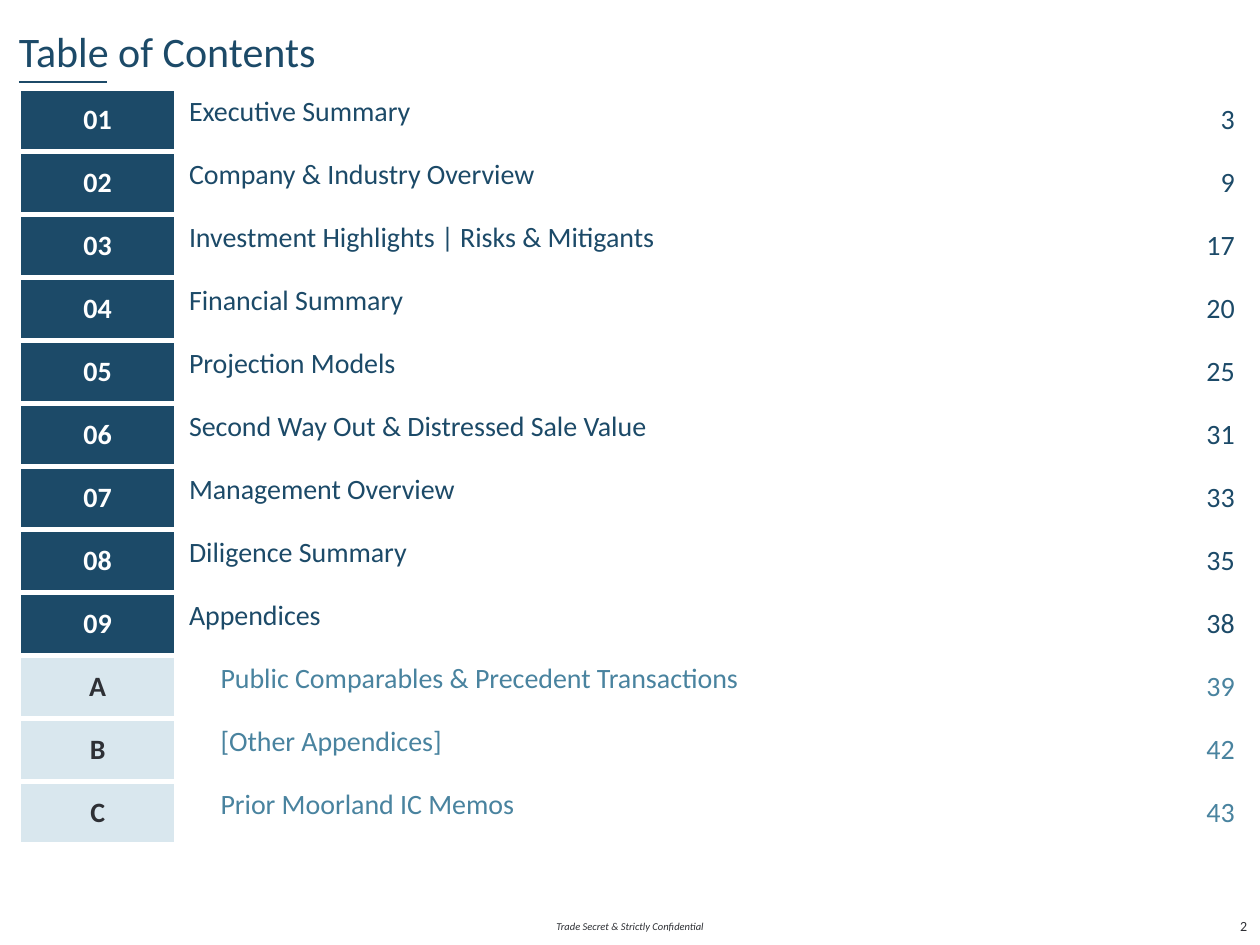
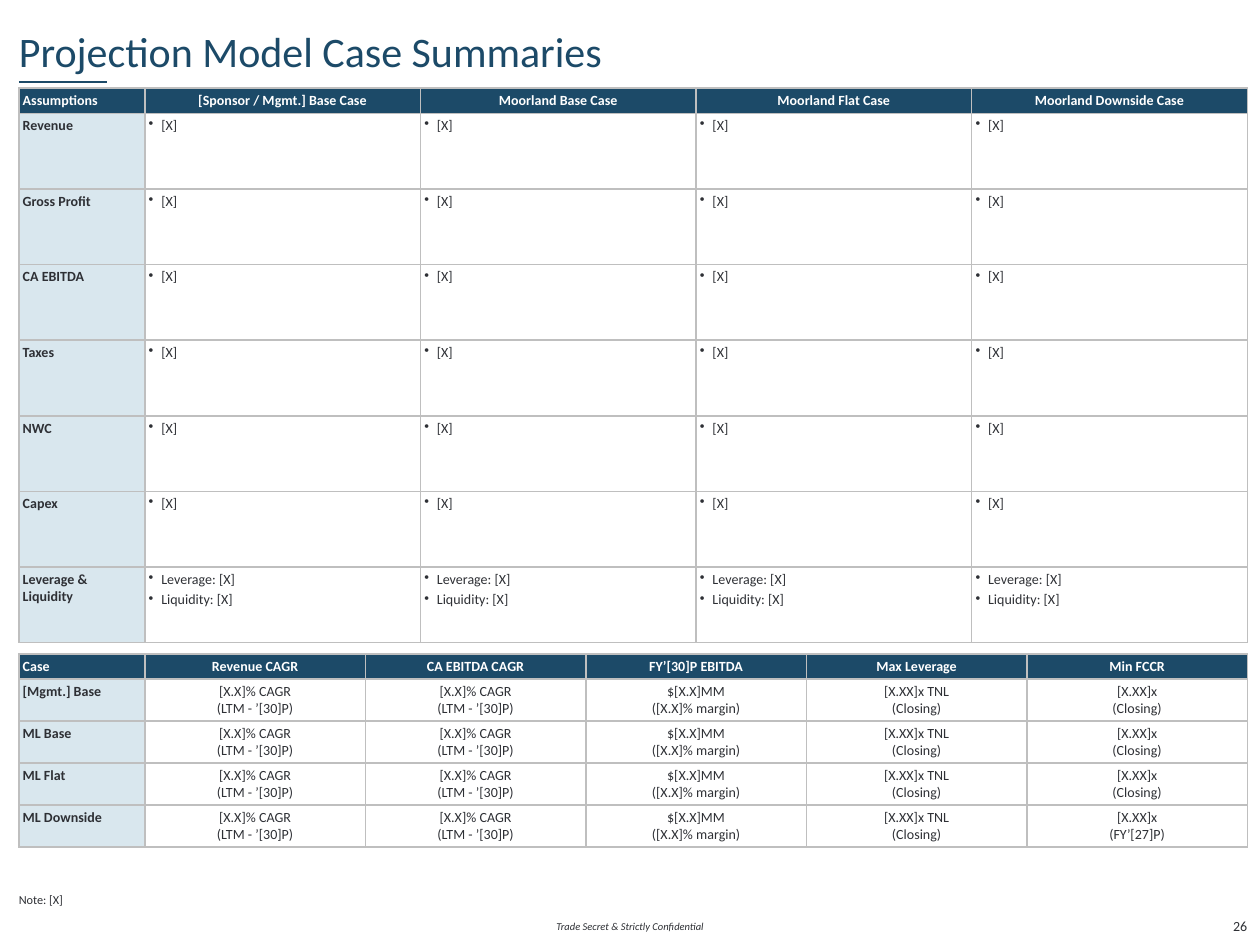
import pptx
import pptx.util
import pptx.dml.color
import pptx.enum.shapes
import pptx.enum.text
import pptx.oxml
import pptx.oxml.ns
from lxml import etree

Inches = pptx.util.Inches
Pt = pptx.util.Pt
Align = pptx.enum.text.PP_ALIGN
Anchor = pptx.enum.text.MSO_ANCHOR
qn = pptx.oxml.ns.qn

HUES = {"navy": "1C4A68", "teal": "49839F", "pale": "D9E7EE",
        "ink": "2E3035", "grey": "BFBFBF", "white": "FFFFFF"}
FONT = "Calibri"
LEFT, WIDTH = 0.15, 9.75

TOPICS = [
    ("01", "Executive Summary", 3),
    ("02", "Company & Industry Overview", 9),
    ("03", "Investment Highlights | Risks & Mitigants", 17),
    ("04", "Financial Summary", 20),
    ("05", "Projection Models", 25),
    ("06", "Second Way Out & Distressed Sale Value", 31),
    ("07", "Management Overview", 33),
    ("08", "Diligence Summary", 35),
    ("09", "Appendices", 38),
    ("A", "Public Comparables & Precedent Transactions", 39),
    ("B", "[Other Appendices]", 42),
    ("C", "Prior Moorland IC Memos", 43),
]
CASES = ["[Sponsor / Mgmt.] Base Case", "Moorland Base Case",
         "Moorland Flat Case", "Moorland Downside Case"]
DRIVERS = ["Revenue", "Gross Profit", "CA EBITDA", "Taxes", "NWC", "Capex"]
METRICS = ["Revenue CAGR", "CA EBITDA CAGR", "FY’[30]P EBITDA",
           "Max Leverage", "Min FCCR"]
GROWTH = "[X.X]% CAGR\n(LTM - ’[30]P)"
RESULTS = [GROWTH, GROWTH, "$[X.X]MM\n([X.X]% margin)", "[X.XX]x TNL\n(Closing)"]
FLOORS = {"[Mgmt.] Base": "Closing", "ML Base": "Closing",
          "ML Flat": "Closing", "ML Downside": "FY’[27]P"}


def hue(name):
    return pptx.dml.color.RGBColor.from_string(HUES[name])


# Text: one paragraph for each line
def write(frame, text, size=8, color="ink", bold=False, italic=False,
          align=Align.LEFT, after=0, indent=0, bullet=False):
    for i, line in enumerate(text.split("\n")):
        par = frame.paragraphs[0] if i == 0 else frame.add_paragraph()
        par.alignment = align
        props = par._p.get_or_add_pPr()
        props.set("marL", str(Inches(indent)))
        props.set("indent", str(-Inches(indent) if bullet else 0))
        if bullet:
            etree.SubElement(props, qn("a:buChar")).set("char", "•")
        if after:
            par.space_after = Pt(after)
        run = par.add_run()
        run.text = line
        font = run.font
        font.name, font.size = FONT, Pt(size)
        font.bold, font.italic = bold, italic
        font.color.rgb = hue(color)


def trim(frame, anchor):
    frame.word_wrap = True
    frame.auto_size = pptx.enum.text.MSO_AUTO_SIZE.NONE
    frame.vertical_anchor = anchor
    frame.margin_left = frame.margin_right = 0
    frame.margin_top = frame.margin_bottom = 0


def add_text(slide, left, top, width, height, text, anchor=Anchor.MIDDLE, **fmt):
    box = slide.shapes.add_textbox(
        Inches(left), Inches(top), Inches(width), Inches(height))
    trim(box.text_frame, anchor)
    write(box.text_frame, text, **fmt)


# Title, rule and footer shared by the slides
def add_slide(deck, title, page):
    slide = deck.slides.add_slide(deck.slide_layouts[5])
    head = slide.shapes.title
    head.left, head.top = Inches(LEFT), Inches(0.15)
    head.width, head.height = Inches(WIDTH), Inches(0.5)
    trim(head.text_frame, Anchor.MIDDLE)
    write(head.text_frame, title, size=24, color="navy")

    rule = slide.shapes.add_connector(
        pptx.enum.shapes.MSO_CONNECTOR.STRAIGHT,
        Inches(LEFT), Inches(0.65), Inches(0.85), Inches(0.65))
    rule.line.color.rgb = hue("navy")
    rule.line.width = Pt(1.5)
    etree.SubElement(rule._element.spPr, qn("a:effectLst"))

    add_text(slide, 4.3, 7.25, 1.4, 0.2, "Trade Secret & Strictly Confidential",
             size=6, italic=True, align=Align.CENTER)
    add_text(slide, 9.6, 7.25, 0.3, 0.2, str(page), align=Align.RIGHT)
    return slide


# Tables
def add_grid(slide, top, cols, rows):
    grid = slide.shapes.add_table(
        len(rows), len(cols), Inches(LEFT), Inches(top),
        Inches(WIDTH), Inches(sum(rows))).table
    grid.first_row = grid.horz_banding = False
    for col, width in zip(grid.columns, cols):
        col.width = Inches(width)
    for row, height in zip(grid.rows, rows):
        row.height = Inches(height)
    return grid


def edge(cell, color, width):
    props = cell._tc.get_or_add_tcPr()
    for i, side in enumerate(("lnL", "lnR", "lnT", "lnB")):
        line = etree.Element(qn("a:" + side), w=str(Pt(width)))
        fill = etree.SubElement(line, qn("a:solidFill"))
        etree.SubElement(fill, qn("a:srgbClr"), val=HUES[color])
        props.insert(i, line)


def fill_cell(cell, text, back=None, anchor=Anchor.TOP, pad=0.03,
              border=("grey", 1), **fmt):
    if back:
        cell.fill.solid()
        cell.fill.fore_color.rgb = hue(back)
    else:
        cell.fill.background()
    edge(cell, *border)
    cell.vertical_anchor = anchor
    if pad is not None:
        cell.margin_left = cell.margin_right = Inches(pad)
        cell.margin_top = cell.margin_bottom = Inches(pad)
    write(cell.text_frame, text, **fmt)


def add_matrix(slide, top, cols, rows, heads, body, **fmt):
    grid = add_grid(slide, top, cols, rows)
    for c, text in enumerate(heads):
        fill_cell(grid.cell(0, c), text, back="navy", anchor=Anchor.MIDDLE,
                  color="white", bold=True,
                  align=Align.CENTER if c else Align.LEFT)
    for r, (label, *values) in enumerate(body, 1):
        fill_cell(grid.cell(r, 0), label, back="pale", bold=True)
        for c, text in enumerate(values, 1):
            fill_cell(grid.cell(r, c), text, **fmt)


def add_topics(slide):
    grid = add_grid(slide, 0.7, [1.25, 7.52, 0.98], [0.5] * len(TOPICS))
    base = dict(size=16, pad=None, border=("white", 3))
    for r, (mark, topic, page) in enumerate(TOPICS):
        main_part = mark.isdigit()
        tone = "navy" if main_part else "teal"
        fill_cell(grid.cell(r, 0), mark, back="navy" if main_part else "pale",
                  color="white" if main_part else "ink", bold=True,
                  anchor=Anchor.MIDDLE, align=Align.CENTER, **base)
        fill_cell(grid.cell(r, 1), topic, color=tone,
                  indent=0 if main_part else 0.25, **base)
        fill_cell(grid.cell(r, 2), str(page), color=tone,
                  anchor=Anchor.MIDDLE, align=Align.RIGHT, **base)


def main():
    deck = pptx.Presentation()
    deck.slide_width, deck.slide_height = Inches(10), Inches(7.5)

    # Contents
    add_topics(add_slide(deck, "Table of Contents", 2))

    # Case summaries
    slide = add_slide(deck, "Projection Model Case Summaries", 26)
    add_text(slide, LEFT, 6.8, WIDTH, 0.4, "Note: [X]", anchor=Anchor.BOTTOM,
             size=7, align=Align.JUSTIFY, after=6)
    drivers = [[name] + ["[X]"] * len(CASES) for name in DRIVERS]
    drivers.append(["Leverage &\nLiquidity"]
                   + ["Leverage: [X]\nLiquidity: [X]"] * len(CASES))
    add_matrix(slide, 0.7, [1] + [8.75 / len(CASES)] * len(CASES),
               [0.2] + [0.6] * len(drivers), ["Assumptions"] + CASES, drivers,
               indent=0.1, bullet=True, after=2)
    results = [[case, *RESULTS, f"[X.XX]x\n({when})"]
               for case, when in FLOORS.items()]
    add_matrix(slide, 5.19, [1] + [1.75] * len(METRICS),
               [0.2] + [0.33] * len(results), ["Case"] + METRICS, results,
               align=Align.CENTER)

    deck.save("out.pptx")


if __name__ == "__main__":
    main()
